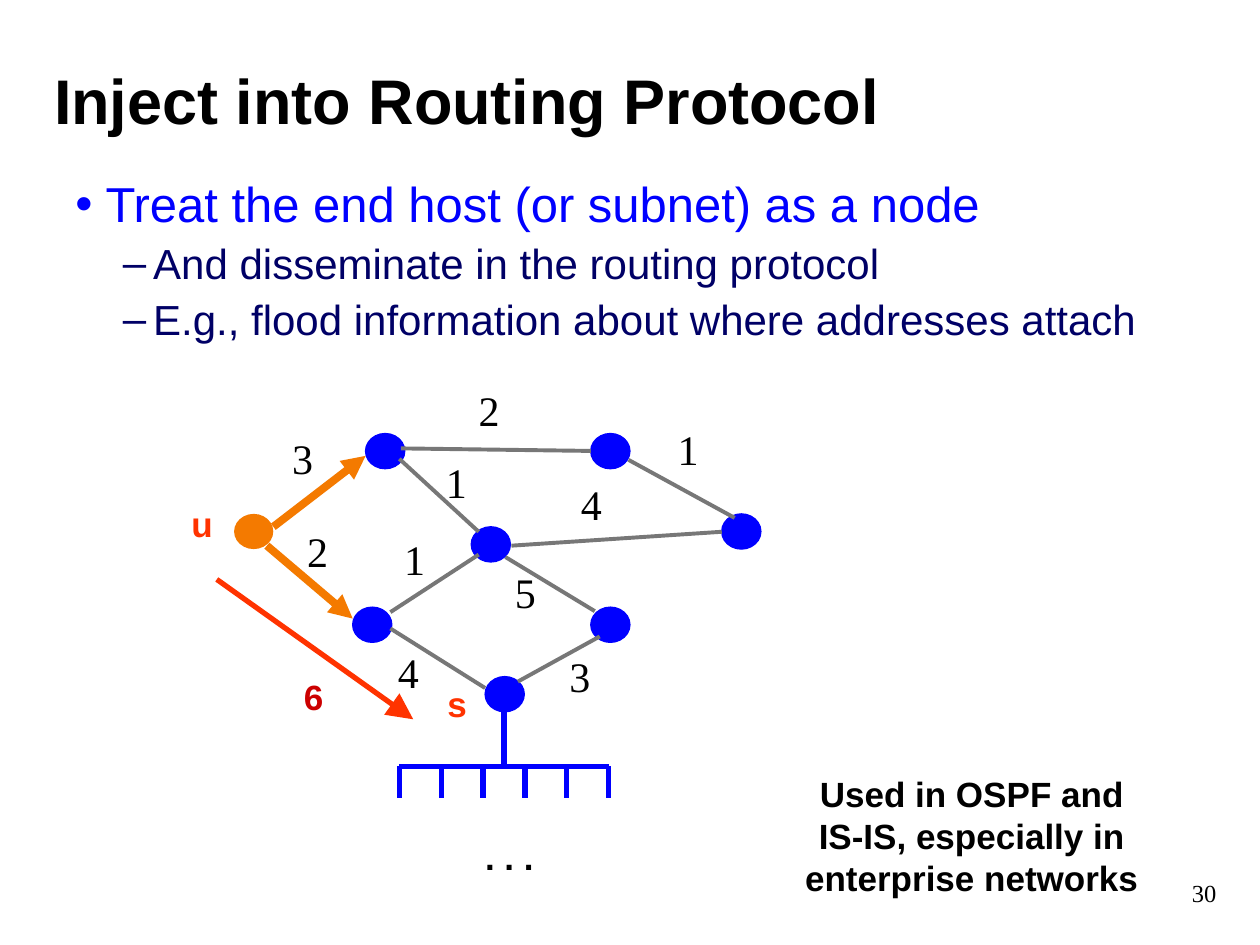
from lxml.etree import SubElement
from pptx import Presentation
from pptx.dml.color import RGBColor
from pptx.enum.shapes import MSO_CONNECTOR as Connector, MSO_SHAPE as Shape
from pptx.enum.text import MSO_ANCHOR as Anchor, PP_ALIGN as Align
from pptx.oxml.ns import qn
from pptx.util import Cm, Pt

COLORS = {
    "black": "000000", "blue": "0000FF", "navy": "000066", "orange": "F47A00",
    "gray": "777777", "red": "FF3300", "crimson": "CC0000",
}


def color(name):
    return RGBColor.from_string(COLORS[name])


def write(paragraph, text, size=20, font="Arial", ink="black", bold=False,
          align=Align.LEFT, before=0, bullet=None, indent=0):
    """Fill a paragraph; indent is the text indent of a bulleted one, in cm."""
    if bullet:
        props = paragraph._p.get_or_add_pPr()
        props.set("marL", str(Cm(indent)))
        props.set("indent", str(Cm(-0.61)))
        bullet_color = SubElement(props, qn("a:buClr"))
        SubElement(bullet_color, qn("a:srgbClr"), val=COLORS[ink])
        SubElement(props, qn("a:buFont"), typeface="Arial")
        SubElement(props, qn("a:buChar"), char=bullet)
    paragraph.alignment = align
    paragraph.space_before = Pt(before)
    run = paragraph.add_run()
    run.text = text
    run.font.size = Pt(size)
    run.font.name = font
    run.font.bold = bold
    run.font.color.rgb = color(ink)


class Sketch:
    """Holds the slide and the shared style of the network drawing."""
    node_size = (0.79, 0.71)
    serif = "Times New Roman"

    def __init__(self, slide):
        self.shapes = slide.shapes

    def box(self, left, top, width, height, wrap=True, anchor=Anchor.TOP):
        area = self.shapes.add_textbox(Cm(left), Cm(top), Cm(width), Cm(height))
        frame = area.text_frame
        frame.word_wrap = wrap
        frame.vertical_anchor = anchor
        return frame

    def text(self, place, words, wrap=True, anchor=Anchor.TOP, **style):
        write(self.box(*place, wrap, anchor).paragraphs[0], words, **style)

    def bullets(self, place, items):
        frame = self.box(*place)
        for i, (words, style) in enumerate(items):
            paragraph = frame.add_paragraph() if i else frame.paragraphs[0]
            write(paragraph, words, **style)

    def node(self, left, top, fill="blue", outlined=True):
        width, height = self.node_size
        router = self.shapes.add_shape(
            Shape.OVAL, Cm(left), Cm(top), Cm(width), Cm(height))
        router.shadow.inherit = False
        router.fill.solid()
        router.fill.fore_color.rgb = color(fill)
        if outlined:
            router.line.color.rgb = color(fill)
            router.line.width = Pt(0.75)
        else:
            router.line.fill.background()

    def line(self, x1, y1, x2, y2, ink="gray", width=2.25, head=None):
        """Draw a link; head is the arrowhead size, med or lg."""
        link = self.shapes.add_connector(
            Connector.STRAIGHT, Cm(x1), Cm(y1), Cm(x2), Cm(y2))
        link.line.color.rgb = color(ink)
        link.line.width = Pt(width)
        if head:
            SubElement(link.line._get_or_add_ln(), qn("a:tailEnd"),
                       type="triangle", w=head, len=head)
        SubElement(link._element.spPr, qn("a:effectLst"))


def main():
    deck = Presentation()
    deck.slide_width, deck.slide_height = Cm(25.4), Cm(19.05)
    sketch = Sketch(deck.slides.add_slide(deck.slide_layouts[6]))

    # Title, bullets and page number
    sketch.text((0.84, 1.05, 22.4, 1.91), "Inject into Routing Protocol",
                anchor=Anchor.MIDDLE, size=36, bold=True)
    point = dict(size=28, ink="blue", bullet="•", indent=0.61)
    detail = dict(size=24, ink="navy", bullet="–", indent=1.57, before=3)
    sketch.bullets((1.27, 3.38, 23.5, 15.24), [
        ("Treat the end host (or subnet) as a node", point),
        ("And disseminate in the routing protocol", detail),
        ("E.g., flood information about where addresses attach", detail),
    ])
    sketch.text((22.23, 17.58, 2.54, 1.07), "30", size=14,
                font=sketch.serif, align=Align.RIGHT)

    # Routers, with the source u in orange
    sketch.node(4.72, 10.36, "orange", outlined=False)
    for left, top in [(7.11, 12.24), (7.37, 8.74), (9.5, 10.62), (11.91, 12.24),
                      (11.91, 8.74), (9.78, 13.64), (14.55, 10.36)]:
        sketch.node(left, top)

    # First hops out of u, then the other links
    for hop in [(5.51, 10.62, 7.37, 9.19), (5.38, 11, 7.11, 12.47)]:
        sketch.line(*hop, ink="orange", width=4.5, head="med")
    for link in [(8.05, 9.25, 9.65, 10.72), (7.87, 12.67, 9.78, 13.87),
                 (7.87, 12.34, 9.65, 11.18), (10.19, 11.23, 11.99, 12.32),
                 (10.44, 13.74, 12.09, 12.83), (10.31, 11, 14.55, 10.72),
                 (8.08, 9.04, 11.91, 9.09), (12.67, 9.27, 14.81, 10.44)]:
        sketch.line(*link)

    # Link costs
    for cost, left, top in [("3", 5.64, 8.59), ("2", 9.4, 7.62), ("2", 5.94, 10.46),
                            ("1", 8.74, 9.07), ("1", 7.9, 10.64), ("4", 11.46, 9.53),
                            ("1", 13.41, 8.41), ("4", 7.77, 12.9), ("5", 10.13, 11.3),
                            ("3", 11.23, 12.98)]:
        sketch.text((left, top, 0.91, 1.27), cost, wrap=False,
                    size=24, font=sketch.serif)

    # Path from u to s and its total cost
    sketch.line(4.37, 11.68, 8.33, 14.5, ink="red", width=3, head="lg")
    for name, left, top, ink in [("u", 3.61, 10.01, "red"), ("s", 8.76, 13.64, "red"),
                                 ("6", 5.87, 13.49, "crimson")]:
        sketch.text((left, top, 0.91, 1.12), name, wrap=False,
                    ink=ink, bold=True, align=Align.CENTER)

    # Subnet attached to s: stem, bus and evenly spaced hosts
    bus_left, bus_right, bus_top, hosts = 8.05, 12.27, 15.45, 6
    subnet = dict(ink="blue", width=3)
    sketch.line(10.16, 14.35, 10.16, bus_top, **subnet)
    sketch.line(bus_left, bus_top, bus_right, bus_top, **subnet)
    for i in range(hosts):
        x = bus_left + i * (bus_right - bus_left) / (hosts - 1)
        sketch.line(x, bus_top, x, bus_top + 0.64, **subnet)
    sketch.text((9.17, 16.71, 2.2, 1.12), ". . .", wrap=False,
                bold=True, align=Align.CENTER)

    # Remark on use
    sketch.text((15.88, 15.44, 7.42, 2.79),
                "Used in OSPF and IS-IS, especially in enterprise networks",
                bold=True, align=Align.CENTER)

    deck.save("out.pptx")


if __name__ == "__main__":
    main()
